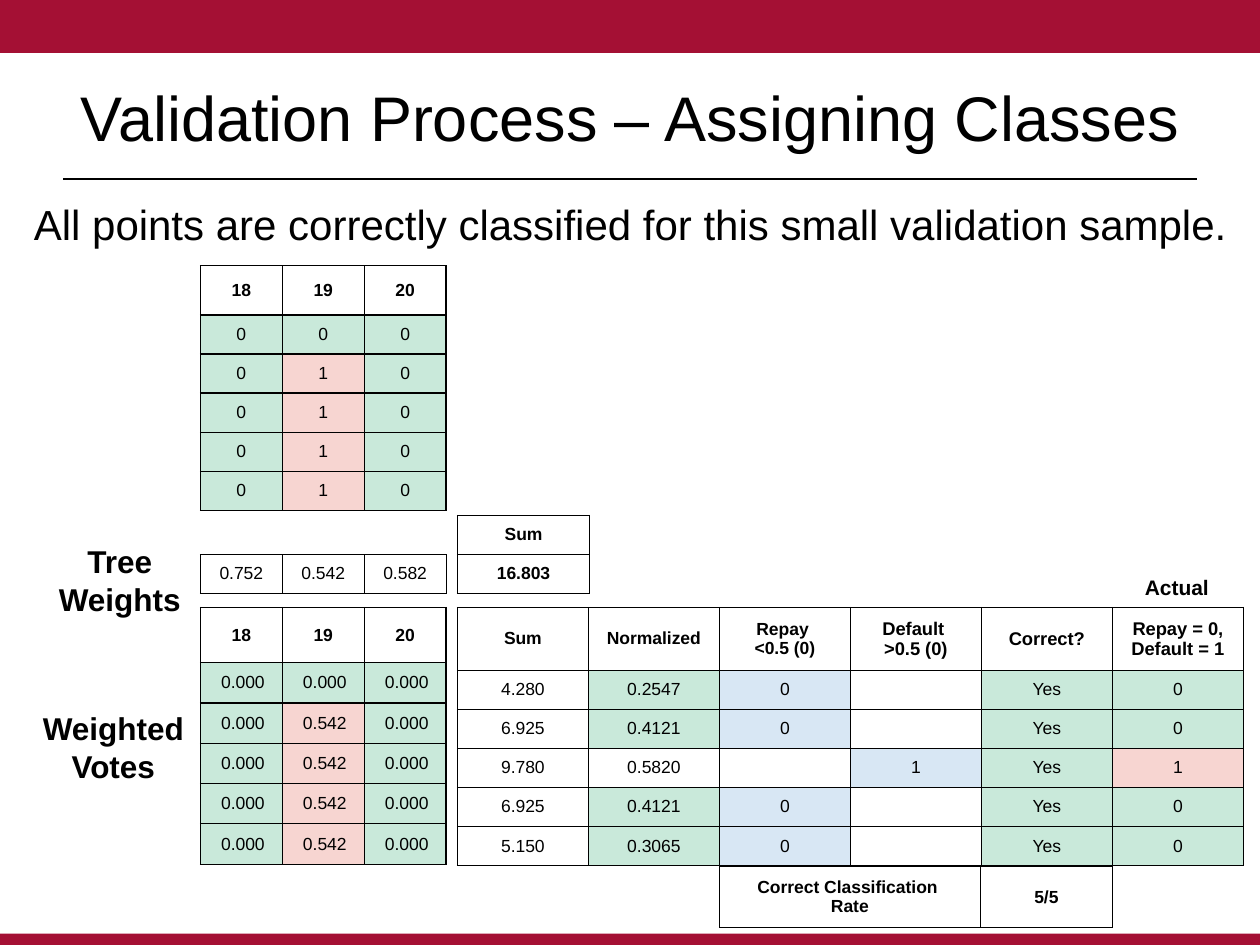
from lxml.etree import SubElement
from pptx import Presentation
from pptx.dml.color import RGBColor
from pptx.enum.shapes import MSO_CONNECTOR, MSO_SHAPE
from pptx.enum.text import MSO_ANCHOR, MSO_AUTO_SIZE, PP_ALIGN
from pptx.oxml.ns import qn
from pptx.util import Inches, Pt

FONT = "Arial"
COLORS = {"crimson": "A41034", "black": "000000",
          "g": "C9E9DA", "r": "F7D5D1", "b": "D8E7F4"}
CENTER, RIGHT = PP_ALIGN.CENTER, PP_ALIGN.RIGHT

TITLE = "Validation Process – Assigning Classes"
# text, (left, top, width, height), format
LABELS = [
    ("Tree\nWeights", (0.34, 4.25, 1.22, 0.71), {"size": 18, "bold": True}),
    ("All points are correctly classified for this small validation sample.",
     (0.17, 1.53, 9.85, 0.5), {"size": 24, "align": PP_ALIGN.LEFT}),
    ("Weighted \nVotes", (0.23, 5.58, 1.34, 0.71), {"size": 18, "bold": True}),
    ("Actual", (8.98, 4.51, 0.72, 0.3), {"size": 12, "bold": True, "wrap": False}),
]

TREES = ["18", "19", "20"]
VOTES = [["0", "0", "0"]] + [["0", "1", "0"]] * 4
WEIGHTED = [["0.000"] * 3] + [["0.000", "0.542", "0.000"]] * 4
VOTE_FILLS = ["---", "ggg"] + ["grg"] * 4

RESULTS = [
    ["Sum", "Normalized", "Repay \n<0.5 (0)", "Default \n>0.5 (0)", "Correct?",
     "Repay = 0,\nDefault = 1"],
    ["4.280", "0.2547", "0", "", "Yes", "0"],
    ["6.925", "0.4121", "0", "", "Yes", "0"],
    ["9.780", "0.5820", "", "1", "Yes", "1"],
    ["6.925", "0.4121", "0", "", "Yes", "0"],
    ["5.150", "0.3065", "0", "", "Yes", "0"],
]
RESULT_FILLS = ["------", "-gb-gg", "-gb-gg", "---bgr", "-gb-gg", "-gb-gg"]

TREE_COLS = [0.65] * 3
# one letter per cell in "fills"; "-" leaves the cell unfilled
TABLES = [
    {"rows": [TREES] + VOTES, "at": (1.59, 2.11), "cols": TREE_COLS,
     "heights": [0.39] + [0.31] * 5, "fills": VOTE_FILLS, "border": 0.75},
    {"rows": [TREES] + WEIGHTED, "at": (1.59, 4.82), "cols": TREE_COLS,
     "heights": [0.44] + [0.32] * 5, "fills": VOTE_FILLS, "border": 0.75,
     "body_align": RIGHT},
    {"rows": RESULTS, "at": (3.63, 4.82), "cols": [1.04] * 6,
     "heights": [0.5] + [0.31] * 5, "fills": RESULT_FILLS,
     "header_sizes": [10] * 3 + [10.5] * 3},
    {"rows": [["0.752", "0.542", "0.582"]], "at": (1.59, 4.4), "cols": TREE_COLS,
     "heights": [0.31], "bold_rows": 0},
    {"rows": [["Sum"], ["16.803"]], "at": (3.63, 4.09), "cols": [1.05],
     "heights": [0.31, 0.31], "bold_rows": 2},
    {"rows": [["Correct Classification \nRate", "5/5"]], "at": (5.71, 6.88),
     "cols": [2.07, 1.05], "heights": [0.48]},
]


def rgb(name):
    return RGBColor.from_string(COLORS[name])


def write(tf, text, size=10, bold=False, align=CENTER):
    tf.text = text
    for p in tf.paragraphs:
        p.alignment = align
        for r in p.runs:
            r.font.name = FONT
            r.font.size = Pt(size)
            r.font.bold = bold
            r.font.color.rgb = rgb("black")
        if not p.runs:  # keeps an empty cell from growing its row
            SubElement(p._p, qn("a:endParaRPr"), sz=str(int(size * 100)))


def add_label(slide, text, box, wrap=True, **fmt):
    tf = slide.shapes.add_textbox(*map(Inches, box)).text_frame
    tf.word_wrap = wrap
    tf.auto_size = MSO_AUTO_SIZE.SHAPE_TO_FIT_TEXT
    write(tf, text, **fmt)


def add_bar(slide, top, height):
    sp = slide.shapes.add_shape(MSO_SHAPE.RECTANGLE, 0, Inches(top),
                                Inches(10), Inches(height))
    sp.shadow.inherit = False
    sp.fill.solid()
    sp.fill.fore_color.rgb = rgb("crimson")
    sp.line.fill.background()


def set_borders(cell, width):
    tcPr = cell._tc.get_or_add_tcPr()
    for i, side in enumerate(("lnL", "lnR", "lnT", "lnB")):
        ln = tcPr.makeelement(qn(f"a:{side}"), {"w": str(Pt(width))})
        fill = SubElement(ln, qn("a:solidFill"))
        SubElement(fill, qn("a:srgbClr"), val=COLORS["black"])
        tcPr.insert(i, ln)


def add_grid(slide, rows, at, cols, heights, fills=None, border=0.5,
             bold_rows=1, header_sizes=None, body_align=CENTER):
    size = (sum(cols), sum(heights))
    table = slide.shapes.add_table(len(rows), len(cols),
                                   *map(Inches, at + size)).table
    table.first_row = table.horz_banding = False
    for col, width in zip(table.columns, cols):
        col.width = Inches(width)
    for row, height in zip(table.rows, heights):
        row.height = Inches(height)
    for i, texts in enumerate(rows):
        for j, text in enumerate(texts):
            cell = table.cell(i, j)
            cell.vertical_anchor = MSO_ANCHOR.MIDDLE
            cell.margin_left = cell.margin_right = Inches(0.14)
            cell.margin_top = cell.margin_bottom = Inches(0.07)
            write(cell.text_frame, text, bold=i < bold_rows,
                  size=header_sizes[j] if header_sizes and i == 0 else 10,
                  align=body_align if i else CENTER)
            key = fills[i][j] if fills else "-"
            if key == "-":
                cell.fill.background()
            else:
                cell.fill.solid()
                cell.fill.fore_color.rgb = rgb(key)
            set_borders(cell, border)


def main():
    prs = Presentation()
    prs.slide_width, prs.slide_height = Inches(10), Inches(7.5)
    slide = prs.slides.add_slide(prs.slide_layouts[5])

    add_bar(slide, 0, 0.42)
    add_bar(slide, 7.41, 0.09)
    rule = slide.shapes.add_connector(MSO_CONNECTOR.STRAIGHT, Inches(0.5),
                                      Inches(1.42), Inches(9.5), Inches(1.42))
    rule.line.color.rgb = rgb("black")
    rule.line.width = Pt(1.25)
    SubElement(rule._element.spPr, qn("a:effectLst"))

    title = slide.shapes.title
    title.left, title.top, title.width, title.height = map(
        Inches, (0.5, 0.3, 9, 1.25))
    title.text_frame.vertical_anchor = MSO_ANCHOR.MIDDLE
    write(title.text_frame, TITLE, size=36)

    for text, box, fmt in LABELS:
        add_label(slide, text, box, **fmt)
    for grid in TABLES:
        add_grid(slide, **grid)
    prs.save("out.pptx")


if __name__ == "__main__":
    main()
